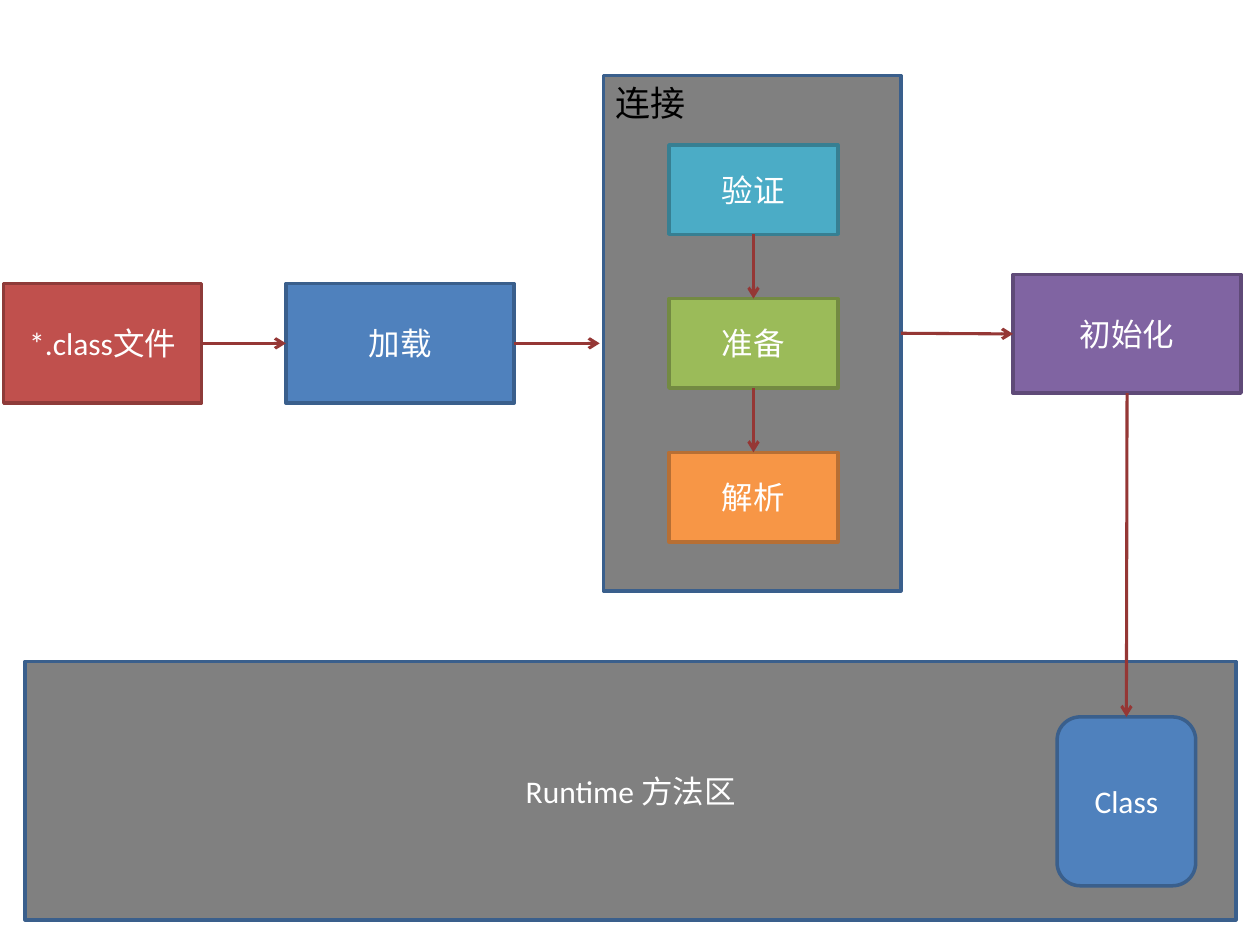
import pptx
import pptx.util
import pptx.dml.color
import pptx.enum.shapes
import pptx.enum.text
import pptx.oxml
import pptx.oxml.ns

Inches = pptx.util.Inches
Pt = pptx.util.Pt
SHAPES = pptx.enum.shapes.MSO_SHAPE
TOP, LEFT, BOTTOM, RIGHT = range(4)

THEME = {
    "font": "Calibri", "body": 18, "heading": 20,
    "light": "FFFFFF", "dark": "000000", "arrow": "953735",
    "outline_width": 2, "arrow_width": 1.75,
    "gray": ("808080", "3A5F8C"),
    "blue": ("4F81BD", "3A5F8C"),
    "red": ("C0504D", "8E3B39"),
    "purple": ("8064A2", "5F4A78"),
    "teal": ("4BACC6", "377F92"),
    "green": ("9BBB59", "738A42"),
    "orange": ("F79646", "B76F34"),
}

BOXES = [
    ("linking", "", "gray", SHAPES.RECTANGLE, (4.79, 0.6, 2.36, 4.09)),
    ("method area", "Runtime 方法区", "gray", SHAPES.RECTANGLE, (0.2, 5.25, 9.61, 2.05)),
    ("file", "*.class文件", "red", SHAPES.RECTANGLE, (0.03, 2.25, 1.57, 0.95)),
    ("loading", "加载", "blue", SHAPES.RECTANGLE, (2.27, 2.25, 1.81, 0.95)),
    ("initialization", "初始化", "purple", SHAPES.RECTANGLE, (8.04, 2.18, 1.81, 0.94)),
    ("class", "Class", "blue", SHAPES.ROUNDED_RECTANGLE, (8.39, 5.69, 1.1, 1.34)),
]
LINKING_STEPS = [("verification", "验证", "teal"), ("preparation", "准备", "green"),
                 ("resolution", "解析", "orange")]
STEP_LEFT, STEP_TOP, STEP_WIDTH, STEP_HEIGHT, STEP_PITCH = 5.31, 1.15, 1.34, 0.71, 1.22
JOINED_ARROWS = [
    ("file", RIGHT, "loading", LEFT),
    ("linking", RIGHT, "initialization", LEFT),
    ("initialization", BOTTOM, "class", TOP),
    ("verification", BOTTOM, "preparation", TOP),
    ("preparation", BOTTOM, "resolution", TOP),
]
LINKING_GAP = 0.03
HEADING = ("连接", (4.79, 0.6, 1.47, 0.44))


def color(value):
    return pptx.dml.color.RGBColor.from_string(value)


def style_paragraph(paragraph, size, value):
    paragraph.font.name = THEME["font"]
    paragraph.font.size = Pt(THEME[size])
    paragraph.font.color.rgb = color(THEME[value])


def add_box(slide, text, palette, kind, place):
    shape = slide.shapes.add_shape(kind, *map(Inches, place))
    fill, outline = THEME[palette]
    shape.shadow.inherit = False
    shape.fill.solid()
    shape.fill.fore_color.rgb = color(fill)
    shape.line.color.rgb = color(outline)
    shape.line.width = Pt(THEME["outline_width"])
    if text:
        shape.text_frame.text = text
        shape.text_frame.vertical_anchor = pptx.enum.text.MSO_ANCHOR.MIDDLE
        paragraph = shape.text_frame.paragraphs[0]
        paragraph.alignment = pptx.enum.text.PP_ALIGN.CENTER
        style_paragraph(paragraph, "body", "light")
    return shape


def add_arrow(slide, start, start_side, end=None, end_side=None, end_point=(0, 0)):
    connector = slide.shapes.add_connector(
        pptx.enum.shapes.MSO_CONNECTOR.STRAIGHT, 0, 0, *end_point)
    connector.begin_connect(start, start_side)
    if end is not None:
        connector.end_connect(end, end_side)
    connector.line.color.rgb = color(THEME["arrow"])
    connector.line.width = Pt(THEME["arrow_width"])
    line = connector.line._get_or_add_ln()
    line.append(pptx.oxml.parse_xml(
        f'<a:tailEnd {pptx.oxml.ns.nsdecls("a")} type="arrow"/>'))
    connector._element.spPr.append(pptx.oxml.parse_xml(
        f'<a:effectLst {pptx.oxml.ns.nsdecls("a")}/>'))


def main():
    presentation = pptx.Presentation()
    presentation.slide_width, presentation.slide_height = Inches(10), Inches(7.5)
    slide = presentation.slides.add_slide(presentation.slide_layouts[6])

    steps = [
        (name, text, palette, SHAPES.RECTANGLE,
         (STEP_LEFT, STEP_TOP + index * STEP_PITCH, STEP_WIDTH, STEP_HEIGHT))
        for index, (name, text, palette) in enumerate(LINKING_STEPS)
    ]
    shapes = {name: add_box(slide, *details) for name, *details in BOXES + steps}

    for start, start_side, end, end_side in JOINED_ARROWS:
        add_arrow(slide, shapes[start], start_side, shapes[end], end_side)
    loading = shapes["loading"]
    add_arrow(slide, loading, RIGHT, end_point=(
        shapes["linking"].left - Inches(LINKING_GAP), loading.top + loading.height // 2))

    text, place = HEADING
    heading = slide.shapes.add_textbox(*map(Inches, place))
    heading.text_frame.word_wrap = True
    heading.text_frame.auto_size = pptx.enum.text.MSO_AUTO_SIZE.SHAPE_TO_FIT_TEXT
    heading.text_frame.text = text
    style_paragraph(heading.text_frame.paragraphs[0], "heading", "dark")

    presentation.save("out.pptx")


if __name__ == "__main__":
    main()
